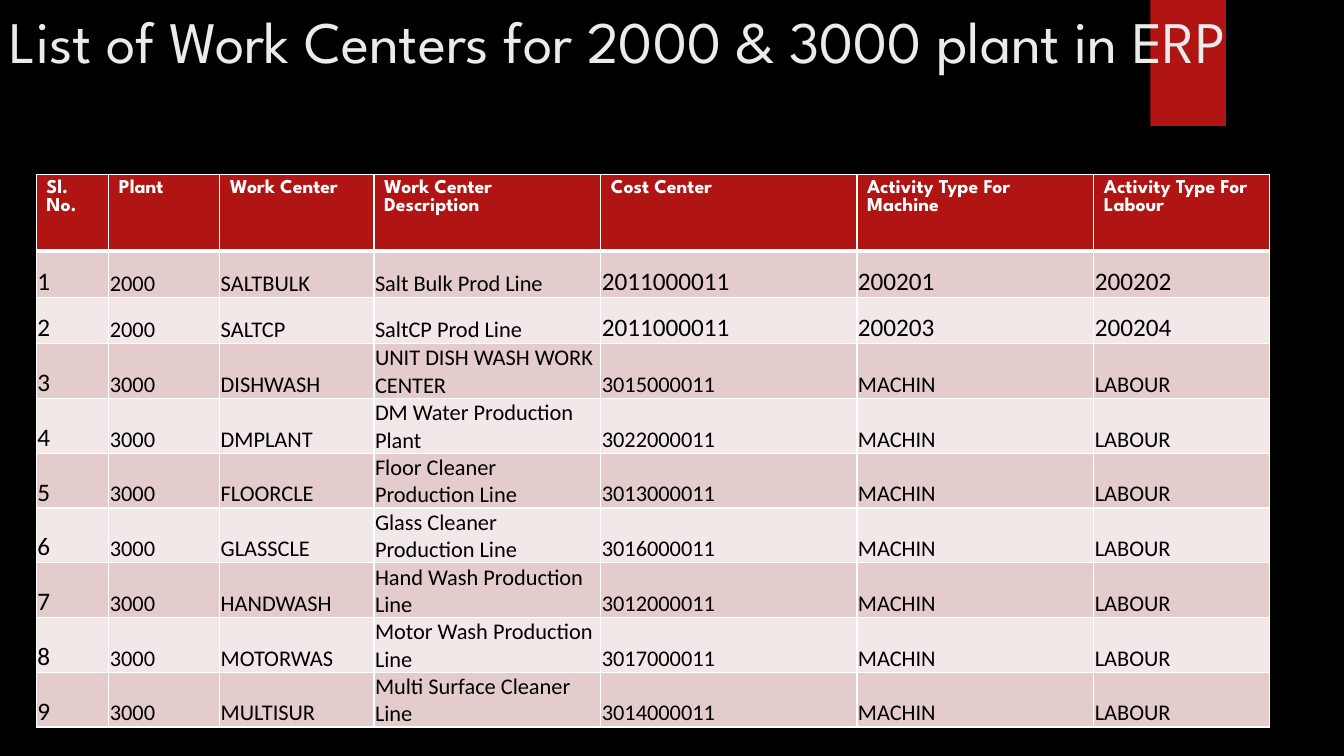
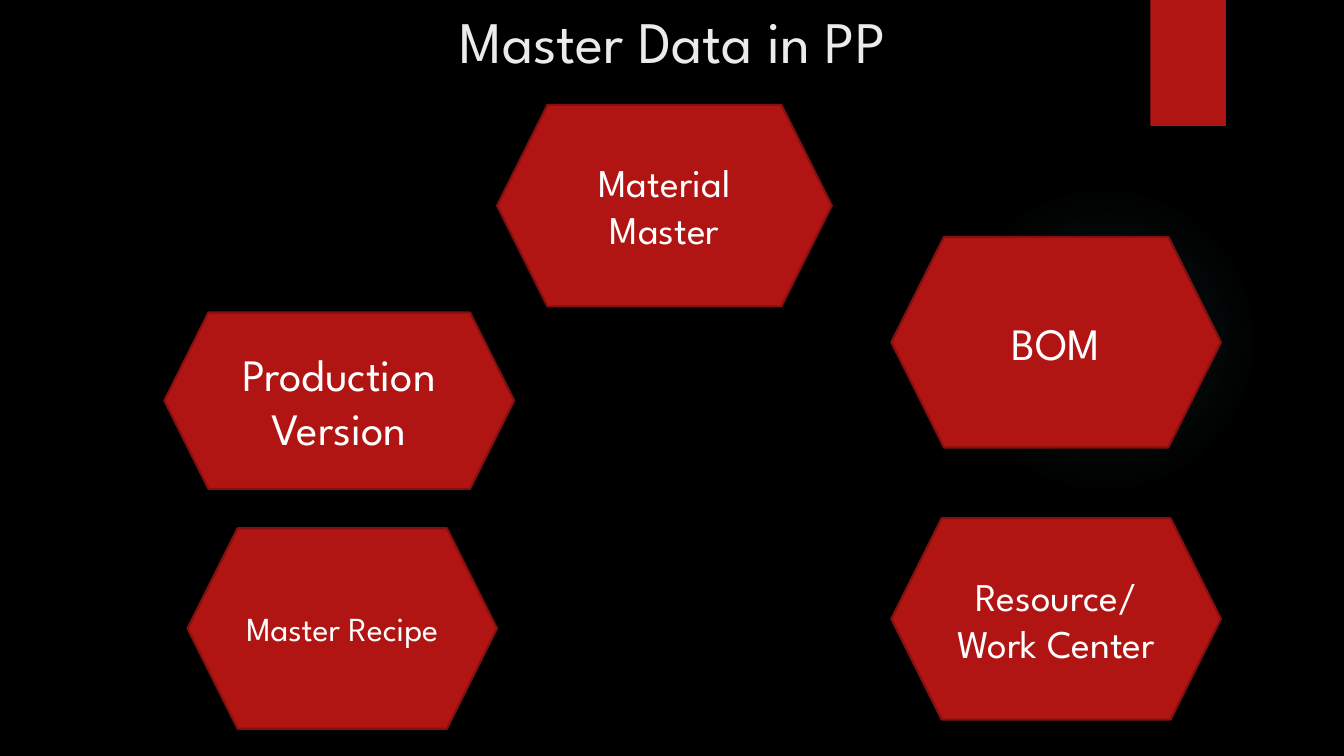
import pptx
import pptx.util
import pptx.dml.color
import pptx.enum.shapes
import pptx.enum.text
import pptx.oxml
import pptx.oxml.ns

Inches = pptx.util.Inches
Pt = pptx.util.Pt
SHAPE = pptx.enum.shapes.MSO_SHAPE
ALIGN = pptx.enum.text.PP_ALIGN
ANCHOR = pptx.enum.text.MSO_ANCHOR
SPACE = pptx.oxml.ns.nsdecls("a")

BLACK, WHITE, RED, EDGE = "000000", "FFFFFF", "B01513", "82100E"
PALE, GLOW = "EBEBEB", "50B9C1"
BANDS = ["E4CCCC", "F2E8E7"]
HEAD = {"name": "League Spartan", "size": Pt(14), "bold": True}
BODY = {"name": "Calibri", "bold": False}
INSET = {
    "margin_left": Inches(0.01), "margin_right": Inches(0.01),
    "margin_top": Inches(0.01), "margin_bottom": 0,
    "vertical_anchor": ANCHOR.BOTTOM,
}

WIDTHS = [0.72, 1.1, 1.53, 2.25, 2.54, 2.35, 1.74]
HEADS = ["Sl. No.", "Plant", "Work Center", "Work Center Description", "Cost Center",
         "Activity Type For Machine", "Activity Type For Labour"]
LINES = [
    ("2000", "SALTBULK", "Salt Bulk Prod Line", "2011000011", "200201", "200202"),
    ("2000", "SALTCP", "SaltCP Prod Line", "2011000011", "200203", "200204"),
] + [("3000", *line, "MACHIN", "LABOUR") for line in [
    ("DISHWASH", "UNIT DISH WASH WORK CENTER", "3015000011"),
    ("DMPLANT", "DM Water Production Plant", "3022000011"),
    ("FLOORCLE", "Floor Cleaner Production Line", "3013000011"),
    ("GLASSCLE", "Glass Cleaner Production Line", "3016000011"),
    ("HANDWASH", "Hand Wash Production Line", "3012000011"),
    ("MOTORWAS", "Motor Wash Production Line", "3017000011"),
    ("MULTISUR", "Multi Surface Cleaner Line", "3014000011"),
]]
TOPICS = [
    ("Material Master", 28, (4.93, 1.04, 3.32, 2)),
    ("BOM", 32, (8.84, 2.35, 3.27, 2.09)),
    ("Resource/ Work Center", 28, (8.84, 5.14, 3.27, 2)),
    ("Master Recipe", 24, (1.86, 5.24, 3.07, 1.99)),
    ("Production Version", 32, (1.63, 3.1, 3.47, 1.75)),
]


def tint(code):
    return pptx.dml.color.RGBColor.from_string(code)


def apply(target, values):
    for name, value in values.items():
        setattr(target, name, value)


class Deck:
    """Holds the shared style and the current slide."""

    def __init__(self):
        self.show = pptx.Presentation()
        apply(self.show, {"slide_width": Inches(13.33), "slide_height": Inches(7.5)})
        self.slide = None

    def page(self, title, box, align=ALIGN.LEFT):
        self.slide = self.show.slides.add_slide(self.show.slide_layouts[6])
        back = self.slide.background.fill
        back.solid()
        back.fore_color.rgb = tint(BLACK)
        self.glow()
        self.shape(SHAPE.RECTANGLE, (11.41, 0, 0.75, 1.25))
        frame = self.slide.shapes.add_textbox(*map(Inches, box)).text_frame
        frame.word_wrap = True
        self.label(frame, title, PALE, {**HEAD, "size": Pt(42), "bold": False}, align)

    def label(self, frame, text, code, font, align=ALIGN.LEFT):
        line = frame.paragraphs[0]
        line.alignment = align
        run = line.add_run()
        run.text = text
        apply(run.font, font)
        run.font.color.rgb = tint(code)

    def shape(self, kind, box, edge=None):
        item = self.slide.shapes.add_shape(kind, *map(Inches, box))
        item.shadow.inherit = False
        item.fill.solid()
        item.fill.fore_color.rgb = tint(RED)
        if edge:
            item.line.color.rgb = tint(edge)
            item.line.width = Pt(1.5)
        else:
            item.line.fill.background()
        return item

    def glow(self):
        item = self.shape(SHAPE.OVAL, (9.41, 1.83, 3.08, 3.08))
        stops = "".join(
            f'<a:gs pos="{place * 1000}"><a:srgbClr val="{GLOW}">'
            f'<a:alpha val="{alpha * 1000}"/></a:srgbClr></a:gs>'
            for place, alpha in [(0, 7), (36, 6), (69, 0)])
        blend = pptx.oxml.parse_xml(
            f'<a:gradFill {SPACE}><a:gsLst>{stops}</a:gsLst><a:path path="circle">'
            '<a:fillToRect l="50000" t="50000" r="50000" b="50000"/></a:path></a:gradFill>')
        solid = item.element.spPr.find(pptx.oxml.ns.qn("a:solidFill"))
        item.element.spPr.replace(solid, blend)

    def topic(self, text, size, box):
        frame = self.shape(SHAPE.HEXAGON, box, EDGE).text_frame
        apply(frame, {"word_wrap": True, "vertical_anchor": ANCHOR.MIDDLE})
        self.label(frame, text, WHITE, {**HEAD, "size": Pt(size), "bold": False}, ALIGN.CENTER)

    def cell(self, cell, text, fill, code, font, thick=""):
        for side in "LRTB":
            width = Pt(3 if side == thick else 1)
            cell._tc.get_or_add_tcPr().append(pptx.oxml.parse_xml(
                f'<a:ln{side} {SPACE} w="{width}"><a:solidFill><a:srgbClr val="{WHITE}"/>'
                f'</a:solidFill></a:ln{side}>'))
        cell.fill.solid()
        cell.fill.fore_color.rgb = tint(fill)
        self.label(cell.text_frame, text, code, font)

    def table(self, heads, lines, widths, left, top):
        highs = [0.76] + [0.46] * len(lines)
        grid = self.slide.shapes.add_table(
            len(highs), len(widths), Inches(left), Inches(top),
            Inches(sum(widths)), Inches(sum(highs))).table
        for col, width in zip(grid.columns, widths):
            col.width = Inches(width)
        for row, high in zip(grid.rows, highs):
            row.height = Inches(high)
        for col, text in enumerate(heads):
            self.cell(grid.cell(0, col), text, RED, WHITE, HEAD, "B")
        for row, line in enumerate(lines, 1):
            for col, text in enumerate((str(row), *line)):
                large = col == 0 or (row < 3 and col > 3)
                cell = grid.cell(row, col)
                apply(cell, INSET)
                self.cell(cell, text, BANDS[(row - 1) % 2], BLACK,
                          {**BODY, "size": Pt(18 if large else 16)}, "T" if row == 1 else "")


def main():
    deck = Deck()
    deck.page("List of Work Centers for 2000 & 3000 plant in ERP", (0, 0, 13.33, 1.4))
    deck.table(HEADS, LINES, WIDTHS, 0.36, 1.73)
    deck.page("Master Data in PP", (0.92, 0, 11.5, 1.06), ALIGN.CENTER)
    for topic in TOPICS:
        deck.topic(*topic)
    deck.show.save("out.pptx")


if __name__ == "__main__":
    main()
